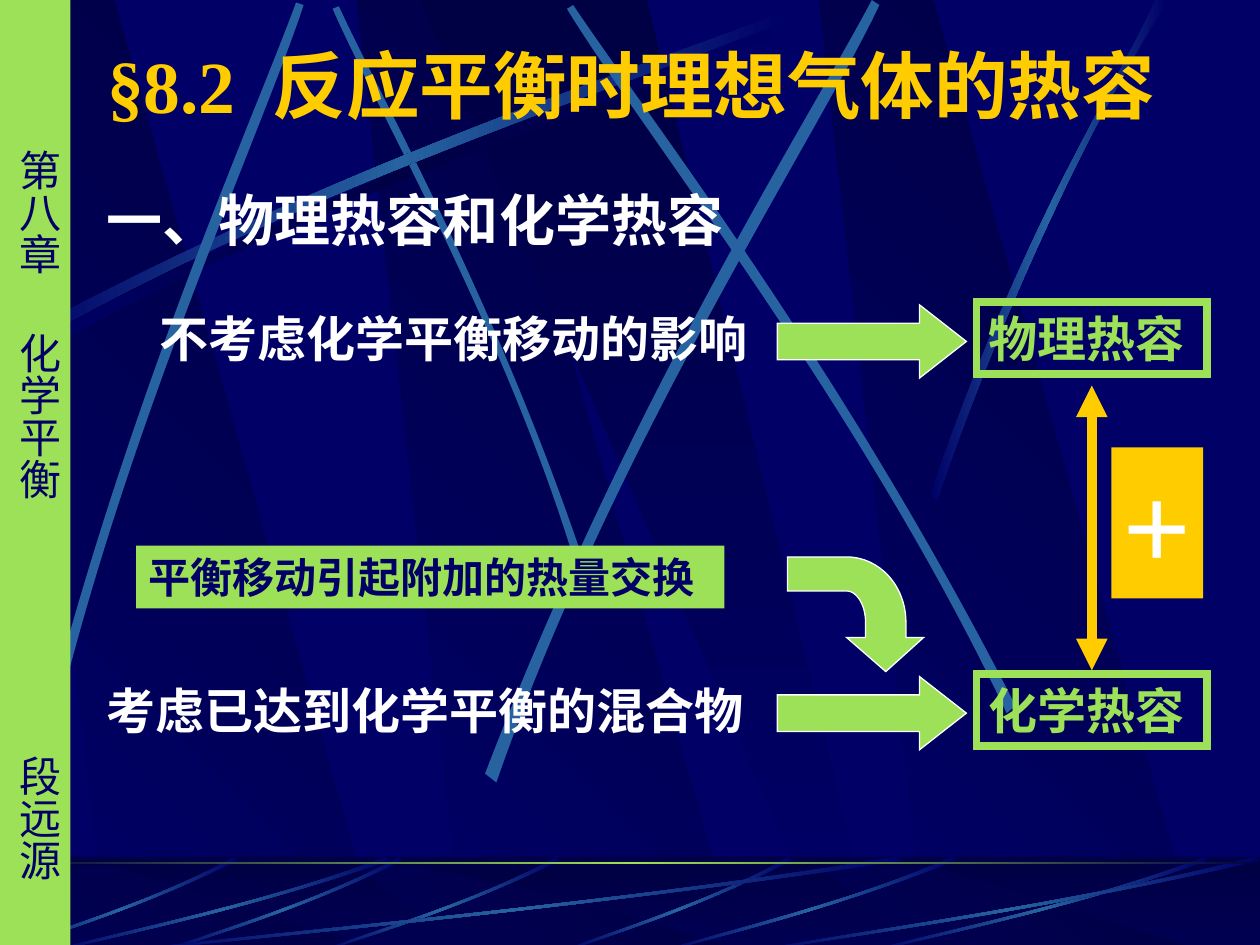
from lxml import etree
from pptx import Presentation, util as u
from pptx.dml.color import RGBColor
from pptx.enum import shapes, text
from pptx.oxml import parse_xml
from pptx.oxml.ns import nsdecls, qn

WIDTH, HEIGHT = 10, 7.5
FLOOR, FLOOR_HEIGHT = 6.8, 0.75
ROWS = 2.4, 5.35  # tops of the two statement rows
ARROW_LEFT, RESULT_LEFT, RESULT_WIDTH, ROW_HEIGHT = 6.17, 7.75, 1.83, 0.57
SERIF, SANS = "Times New Roman", "Arial"
COLORS = {"navy": "000066", "dark": "000044", "streak": "2663A0",
          "green": "9CE157", "gold": "FFCC00", "white": "FFFFFF"}
FADE = ("navy", "streak", "navy")

# Outlines: a pair is a straight step, six numbers are a Bezier curve.
BAND = [(0.28, 1), (1, 1), (0.3, 0), (0, 0)]
WEDGE = [(0, 0), (0.9, 1), (1, 1), (0.5, 0)]
FLOOR_STREAK = [(1, 0.04), (0.57, 0.57, 0.17, 0.85, 0.01, 1), (0, 0.99),
                (0.17, 0.81, 0.62, 0.51, 0.99, 0)]
SWEEP = [(0.14, 2.67), (2.78, 1.25, 5.18, 0.51, 6.2, 0.1), (6.23, 0.16),
         (5.22, 0.61, 2.48, 1.43, 0.17, 2.77)]
CROSSING_STREAKS = [
    [(4.6, 4.36), (3.91, 2.34, 3.02, 0.77, 2.69, 0.05), (2.64, 0.07),
     (2.95, 0.79, 3.98, 2.58, 4.54, 4.39)],
    [(0.23, 6.25), (0.93, 3.34, 1.97, 1.05, 2.35, 0.02), (2.41, 0.04),
     (2.07, 1.08, 0.86, 3.68, 0.32, 6.29)],
    [(3.85, 6.14), (4.98, 3.2, 6.38, 1.02, 6.92, 0), (6.98, 0.04),
     (6.49, 1.08, 4.86, 3.55, 3.94, 6.21)],
    [(8.06, 5.6), (6.7, 2.93, 5.16, 0.95, 4.55, 0.04), (4.5, 0.07),
     (5.07, 1.01, 6.85, 3.25, 7.99, 5.66)],
]
RIGHT_STREAK = [(7.38, 3.93), (8.14, 1.73, 8.88, 0.66, 9.17, 0), (9.27, 0),
                (8.36, 1.45, 7.69, 3.22, 7.44, 3.97)]
TURN_ARROW = [(7.03, 5.33), (7.33, 5.06), (7.19, 5.06), (7.19, 4.94),
              (7.19, 4.65, 6.98, 4.42, 6.72, 4.42), (6.25, 4.42), (6.25, 4.69),
              (6.72, 4.69), (6.8, 4.69, 6.87, 4.8, 6.87, 4.94), (6.87, 5.06),
              (6.72, 5.06)]


def rgb(name):
    return RGBColor.from_string(COLORS[name])


def style(shape, fill=None, line=None, points=0.75, angle=0, alpha=None):
    """Fill with one colour name or a tuple of gradient colours."""
    shape.shadow.inherit = False
    properties = shape.element.spPr
    if fill is None:
        shape.fill.background()
    elif isinstance(fill, tuple):
        shape.fill.background()
        stops = "".join(
            f'<a:gs pos="{100000 * i // (len(fill) - 1)}">'
            f'<a:srgbClr val="{COLORS[name]}"/></a:gs>' for i, name in enumerate(fill))
        gradient = parse_xml(
            f'<a:gradFill {nsdecls("a")} rotWithShape="1"><a:gsLst>{stops}</a:gsLst>'
            f'<a:lin ang="{angle * 60000}" scaled="0"/></a:gradFill>')
        properties.replace(properties.find(qn("a:noFill")), gradient)
    else:
        shape.fill.solid()
        shape.fill.fore_color.rgb = rgb(fill)
        if alpha is not None:
            color = properties.find(qn("a:solidFill"))[0]
            etree.SubElement(color, qn("a:alpha"), val=str(alpha * 1000))
    if line:
        shape.line.color.rgb = rgb(line)
        shape.line.width = u.Pt(points)
        etree.SubElement(properties.find(qn("a:ln")), qn("a:miter"), lim="800000")
    else:
        shape.line.fill.background()


def add_preset(page, kind, area, **look):
    shape = page.shapes.add_shape(kind, *map(u.Inches, area))
    style(shape, **look)
    return shape


def add_rectangle(page, area, **look):
    return add_preset(page, shapes.MSO_SHAPE.RECTANGLE, area, **look)


def add_outline(page, steps, area=(0, 0, 1, 1), **look):
    """Draw steps, scaled and moved into area (left, top, width, height)."""
    left, top, width, height = area
    points = [(u.Inches(left + step[i] * width), u.Inches(top + step[i + 1] * height))
              for step in steps for i in range(0, len(step), 2)]
    builder = page.shapes.build_freeform(*points[0])
    builder.add_line_segments(points[1:], close=True)
    shape = builder.convert_to_shape()
    corners = iter(list(shape.element.spPr.iter(qn("a:lnTo"))))
    for step in steps[1:]:
        group = [next(corners) for _ in range(len(step) // 2)]
        if len(group) == 3:
            curve = etree.Element(qn("a:cubicBezTo"))
            group[0].addprevious(curve)
            for corner in group:
                curve.append(corner[0])
                corner.getparent().remove(corner)
    style(shape, **look)


def write(box, words, size, color, font=SANS, bold=False, wrap=True,
          anchor=text.MSO_ANCHOR.TOP, margins=(0.1, 0.05), vertical=False, tabs=()):
    frame = box.text_frame
    frame.word_wrap = wrap
    frame.vertical_anchor = anchor
    frame.margin_left = frame.margin_right = u.Inches(margins[0])
    frame.margin_top = frame.margin_bottom = u.Inches(margins[1])
    if vertical:
        box.element.txBody.bodyPr.set("vert", "eaVert")
    para = frame.paragraphs[0]
    para.alignment = text.PP_ALIGN.LEFT
    if tabs:
        properties = box.element.txBody.p_lst[0].get_or_add_pPr()
        stops = etree.SubElement(properties, qn("a:tabLst"))
        for stop in tabs:
            etree.SubElement(stops, qn("a:tab"), pos=str(u.Inches(stop)), algn="l")
    span = para.add_run()
    span.text = words
    span.font.size, span.font.name, span.font.bold = u.Pt(size), font, bold
    span.font.color.rgb = rgb(color)


def add_text(page, area, words, size, color, **form):
    write(page.shapes.add_textbox(*map(u.Inches, area)), words, size, color, **form)


def add_bands(page, top, height):
    for left in (2.83, 0, 6.5):
        add_outline(page, BAND, (left, top, 3.02, height),
                    fill=("navy", "dark"), angle=315)
    add_outline(page, WEDGE, (3.33, top, 3.61, height), fill=("dark", "navy"), angle=90)


def add_backdrop(page):
    add_bands(page, 0, HEIGHT)
    add_outline(page, SWEEP, (0.06, 0.08, 1, 1), fill=("navy", "dark", "navy"))
    first, *others = CROSSING_STREAKS
    add_outline(page, first, fill="streak")
    add_outline(page, SWEEP, fill=FADE)
    for steps in others:
        add_outline(page, steps, fill="streak")
    add_outline(page, RIGHT_STREAK, fill=FADE)

    floor = (0, FLOOR, WIDTH, FLOOR_HEIGHT)
    add_rectangle(page, floor, fill=("dark", "navy"), angle=90)
    add_bands(page, 6.88, 0.66)
    add_rectangle(page, floor, fill="dark", alpha=50)
    for left, width in ((4.48, 1.8), (2.56, 1.88), (1.31, 1.88), (0.02, 1.86),
                        (1, 6.17), (0.42, 2.67), (5.27, 2.31), (6.92, 2.67), (6, 4)):
        add_outline(page, FLOOR_STREAK, (left, FLOOR, width, FLOOR_HEIGHT), fill=FADE)
    add_rectangle(page, (0, 6.84, WIDTH, 0.02), fill=("dark", "green", "dark"))


def add_sidebar(page):
    strip = add_rectangle(page, (-0.04, 0, 0.6, 7.67), fill="green")
    write(strip, "\t第八章\t化学平衡\t段远源", 24, "navy", font=SERIF,
          margins=(0.05, 0.1), vertical=True, tabs=(1.09, 2.54, 5.9))


def add_row(page, top, left, width, statement, result):
    add_text(page, (left, top, width, ROW_HEIGHT), statement, 28, "white", bold=True)
    add_preset(page, shapes.MSO_SHAPE.RIGHT_ARROW, (ARROW_LEFT, top + 0.02, 1.5, 0.58),
               fill="green", line="white").adjustments[1] = 0.64
    box = add_rectangle(page, (RESULT_LEFT, top, RESULT_WIDTH, ROW_HEIGHT),
                        line="green", points=4.5)
    write(box, result, 28, "green", bold=True)


def add_double_arrow(page, x, top, bottom):
    arrow = page.shapes.add_connector(shapes.MSO_CONNECTOR.STRAIGHT,
                                      *map(u.Inches, (x, top, x, bottom)))
    arrow.line.color.rgb = rgb("gold")
    arrow.line.width = u.Pt(6)
    properties = arrow.element.spPr
    for end in ("a:headEnd", "a:tailEnd"):
        etree.SubElement(properties.find(qn("a:ln")), qn(end), type="triangle")
    etree.SubElement(properties, qn("a:effectLst"))


def add_title(page, words):
    title = page.shapes.title
    page.shapes.element.append(title.element)  # bring in front of the backdrop
    title.left, title.top, title.width, title.height = map(
        u.Inches, (0.75, 0.27, 9.08, 0.8))
    write(title, words, 42, "gold", font=SERIF, bold=True, anchor=text.MSO_ANCHOR.MIDDLE)


def main():
    deck = Presentation()
    deck.slide_width, deck.slide_height = u.Inches(WIDTH), u.Inches(HEIGHT)
    page = deck.slides.add_slide(deck.slide_layouts[5])
    page.background.fill.solid()
    page.background.fill.fore_color.rgb = rgb("navy")

    add_backdrop(page)
    add_sidebar(page)
    add_title(page, "§8.2  反应平衡时理想气体的热容")
    add_text(page, (0.75, 1.42, 5.17, 0.67), "一、物理热容和化学热容", 32, "white",
             font=SERIF, bold=True)
    add_row(page, ROWS[0], 1.17, 5.17, "不考虑化学平衡移动的影响", "物理热容")
    add_row(page, ROWS[1], 0.75, 5.48, "考虑已达到化学平衡的混合物", "化学热容")

    extra = add_rectangle(page, (1.08, 4.33, 4.67, 0.5), fill="green")
    write(extra, "平衡移动引起附加的热量交换", 24, "navy", bold=True)
    add_outline(page, TURN_ARROW, fill="green", line="white")

    add_double_arrow(page, RESULT_LEFT + RESULT_WIDTH / 2, 3.06, 5.32)
    plus = add_rectangle(page, (8.82, 3.55, 0.73, 1.2), fill="gold")
    write(plus, "+", 66, "white", wrap=False)
    deck.save("out.pptx")


if __name__ == "__main__":
    main()
